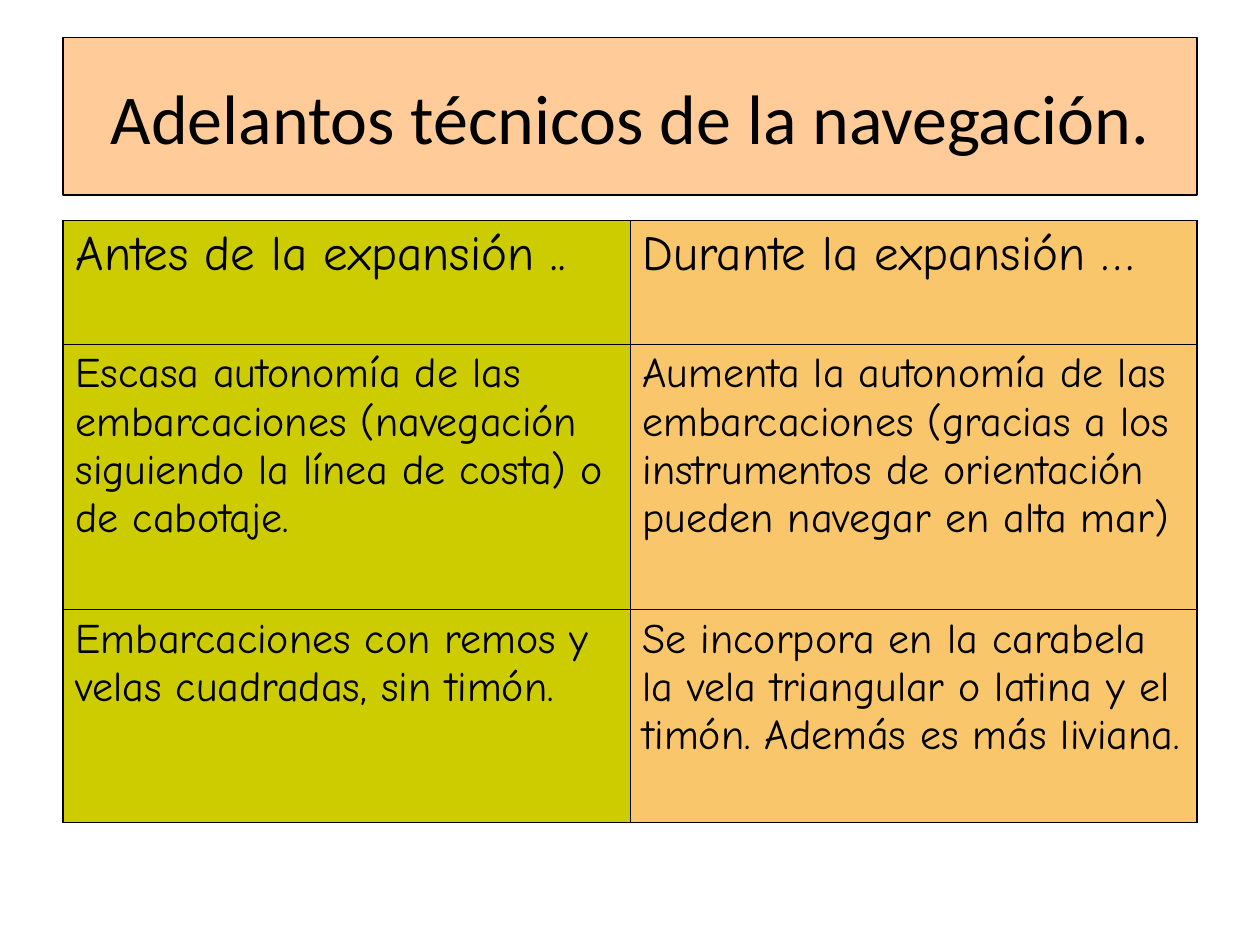
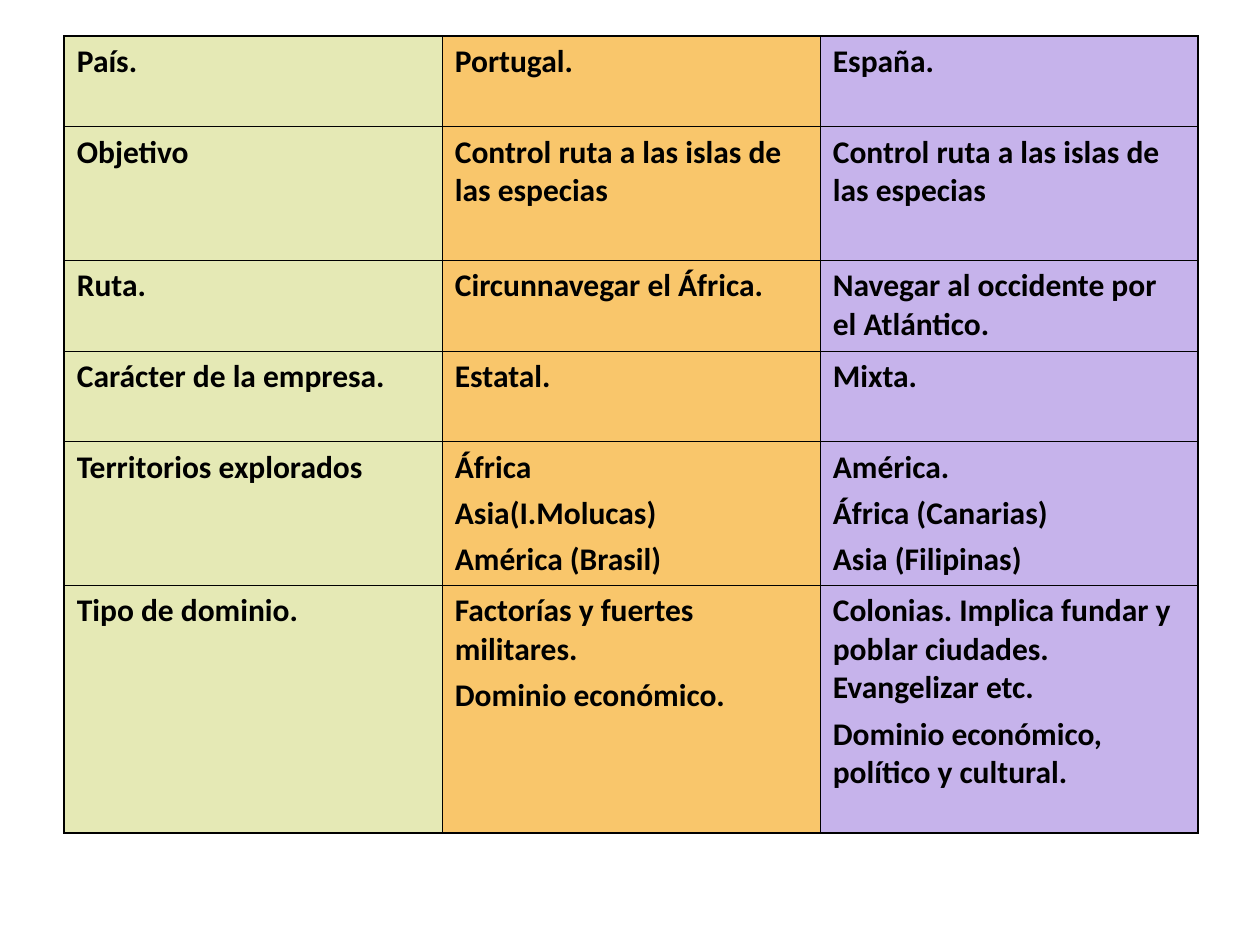
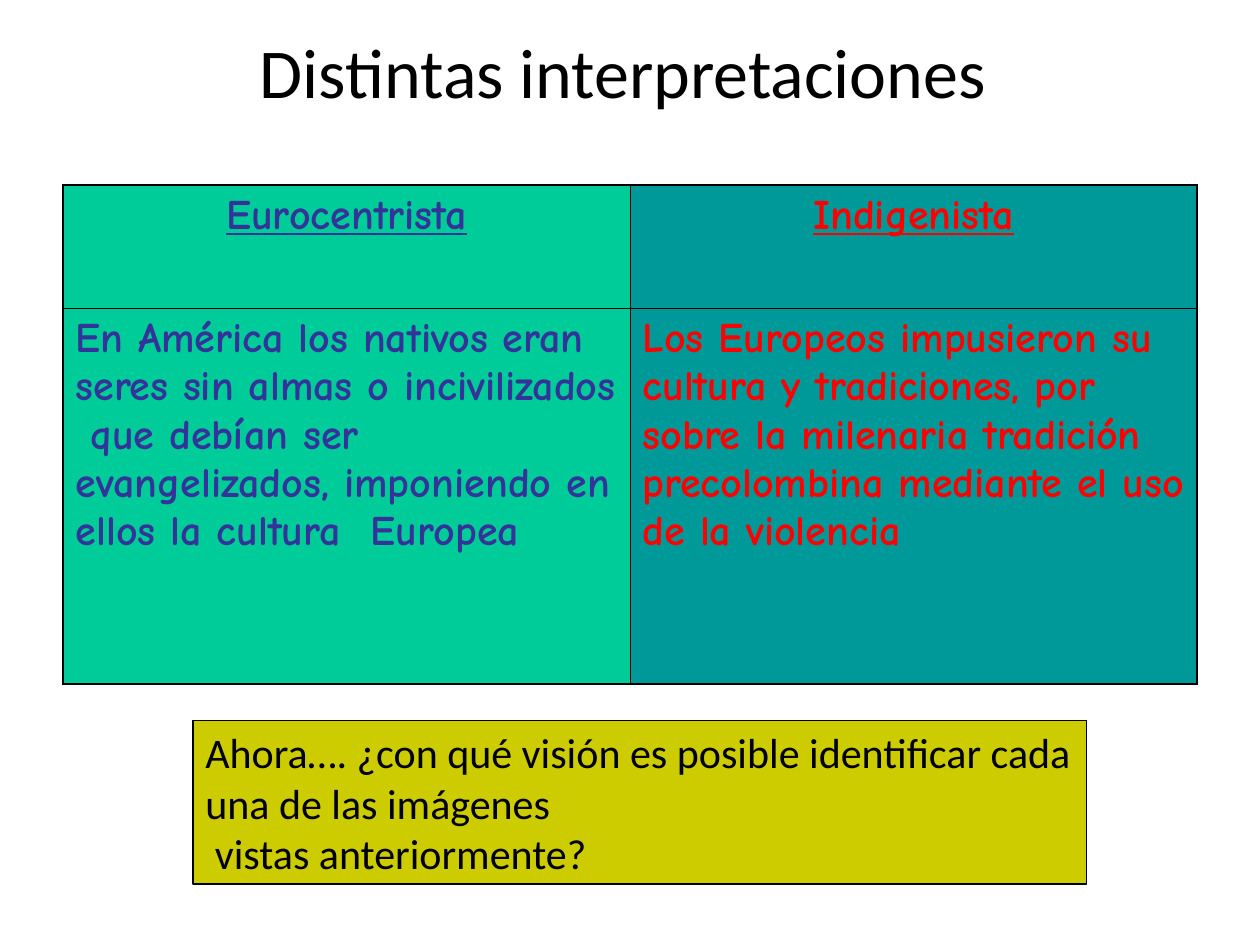
import pptx
import pptx.dml.color
import pptx.enum.shapes
import pptx.enum.text
import pptx.oxml
import pptx.oxml.ns
import pptx.util

Pt = pptx.util.Pt
RGB = pptx.dml.color.RGBColor
ALIGN = pptx.enum.text.PP_ALIGN
ANCHOR = pptx.enum.text.MSO_ANCHOR

BLACK = RGB(0, 0, 0)
PEACH = RGB(0xFF, 0xCC, 0x99)
OLIVE = RGB(0xCC, 0xCC, 0x00)
AMBER = RGB(0xF9, 0xC6, 0x6B)
LIME = RGB(0xE5, 0xE9, 0xB5)
LILAC = RGB(0xC6, 0xB3, 0xEB)
MINT = RGB(0x00, 0xCC, 0x99)
TEAL = RGB(0x00, 0x99, 0x99)
NAVY = RGB(0x33, 0x33, 0x99)
RED = RGB(0xFF, 0, 0)

SANS = "Calibri"
COMIC = "Comic Neue"
OUTER, INNER = 1.08, 0.45
TITLE_ONLY, BLANK = 5, 6

ADVANCES = [
    ["Antes de la expansión ..", "Durante la expansión …"],
    ["Escasa autonomía de las embarcaciones (navegación siguiendo la línea de costa) o de cabotaje.",
     "Aumenta la autonomía de las embarcaciones (gracias a los instrumentos de orientación pueden navegar en alta mar)"],
    ["Embarcaciones con remos y velas cuadradas, sin timón.",
     "Se incorpora en la carabela la vela triangular o latina y el timón. Además es más liviana."],
]
POWERS = [
    ["País.", "Portugal.", "España."],
    ["Objetivo", "Control ruta a las islas de las especias",
     "Control ruta a las islas de las especias"],
    ["Ruta.", "Circunnavegar el África.", "Navegar al occidente por el Atlántico."],
    ["Carácter de la empresa.", "Estatal.", "Mixta."],
    ["Territorios explorados", "África\nAsia(I.Molucas)\nAmérica (Brasil)",
     "América.\nÁfrica (Canarias)\nAsia (Filipinas)"],
    ["Tipo de dominio.", "Factorías y fuertes militares.\nDominio económico.",
     "Colonias. Implica fundar y poblar ciudades. Evangelizar etc.\n"
     "Dominio económico, político y cultural."],
]
VIEWS = [
    ["Eurocentrista", "Indigenista"],
    ["En América los nativos eran seres sin almas o incivilizados  que debían ser "
     "evangelizados, imponiendo en ellos la cultura  Europea",
     "Los Europeos impusieron su cultura y tradiciones, por sobre la milenaria "
     "tradición precolombina mediante el uso de la violencia"],
]
QUESTION = ("Ahora…. ¿con qué visión es posible identificar cada una de las imágenes\n"
            " vistas anteriormente?")


def write(frame, text, size, face=SANS, color=BLACK, bold=False, align=ALIGN.LEFT, before=0):
    frame.text = text
    frame.word_wrap = True
    for para in frame.paragraphs:
        para.alignment = align
        para.space_before = Pt(before)
        font = para.font
        font.name, font.size, font.bold = face, Pt(size), bold
        font.color.rgb = color


def paint(shape, fill):
    shape.fill.solid()
    shape.fill.fore_color.rgb = fill
    shape.line.color.rgb = BLACK
    shape.line.width = Pt(0.75)


def title(slide, box, text, fill=None):
    head = slide.shapes.title
    head.left, head.top, head.width, head.height = map(Pt, box)
    write(head.text_frame, text, 40, align=ALIGN.CENTER)
    head.text_frame.vertical_anchor = ANCHOR.MIDDLE
    head.text_frame.auto_size = pptx.enum.text.MSO_AUTO_SIZE.NONE
    if fill:
        paint(head, fill)


def edge(cell, side, width):
    space = pptx.oxml.ns.nsdecls("a")
    cell._tc.get_or_add_tcPr().append(pptx.oxml.parse_xml(
        f'<a:ln{side} {space} w="{Pt(width)}"><a:solidFill>'
        f'<a:srgbClr val="{BLACK}"/></a:solidFill></a:ln{side}>'))


def grid(slide, box, rows, highs, fills, style):
    left, top, width = box
    count, span = len(rows), len(fills)
    table = slide.shapes.add_table(
        count, span, Pt(left), Pt(top), Pt(width), Pt(sum(highs))).table
    table.first_row = table.horz_banding = False
    for col in table.columns:
        col.width = Pt(width / span)
    for r, row in enumerate(rows):
        table.rows[r].height = Pt(highs[r])
        for c, text in enumerate(row):
            cell = table.cell(r, c)
            outer = {"L": c == 0, "R": c == span - 1, "T": r == 0, "B": r == count - 1}
            for side, out in outer.items():
                edge(cell, side, OUTER if out else INNER)
            cell.fill.solid()
            cell.fill.fore_color.rgb = fills[c]
            write(cell.text_frame, text, **style(r, c))
    return table


def note(slide, box, text):
    shape = slide.shapes.add_shape(
        pptx.enum.shapes.MSO_SHAPE.RECTANGLE, *map(Pt, box))
    shape.shadow.inherit = False
    paint(shape, OLIVE)
    write(shape.text_frame, text, 24)
    shape.text_frame.vertical_anchor = ANCHOR.TOP


def advances(slide):
    title(slide, (36, 21.5, 648, 90), "Adelantos técnicos de la navegación.", PEACH)
    grid(slide, (36, 126, 648), ADVANCES, (70.5, 151.5, 122), (OLIVE, AMBER),
         lambda r, c: dict(size=24 if r else 28, face=COMIC, before=6 if r else 7))


def powers(slide):
    grid(slide, (36.75, 20.5, 648), POWERS, (52, 76.5, 52, 51.5, 82, 141.5),
         (LIME, AMBER, LILAC), lambda r, c: dict(size=18, bold=True, before=4.5))


def views(slide):
    title(slide, (36.5, 15, 648, 51), "Distintas interpretaciones ")
    table = grid(slide, (36, 105.75, 648), VIEWS, (70.5, 214.5), (MINT, TEAL),
                 lambda r, c: dict(size=24, face=COMIC, color=(NAVY, RED)[c], bold=True,
                                   align=ALIGN.LEFT if r else ALIGN.CENTER, before=6))
    for cell in table.rows[0].cells:
        cell.text_frame.paragraphs[0].font.underline = True
    note(slide, (110.25, 411.75, 510.5, 93.5), QUESTION)


def main():
    deck = pptx.Presentation()
    deck.slide_width, deck.slide_height = Pt(720), Pt(540)
    for build, layout in ((advances, TITLE_ONLY), (powers, BLANK), (views, TITLE_ONLY)):
        build(deck.slides.add_slide(deck.slide_layouts[layout]))
    deck.save("out.pptx")


if __name__ == "__main__":
    main()
